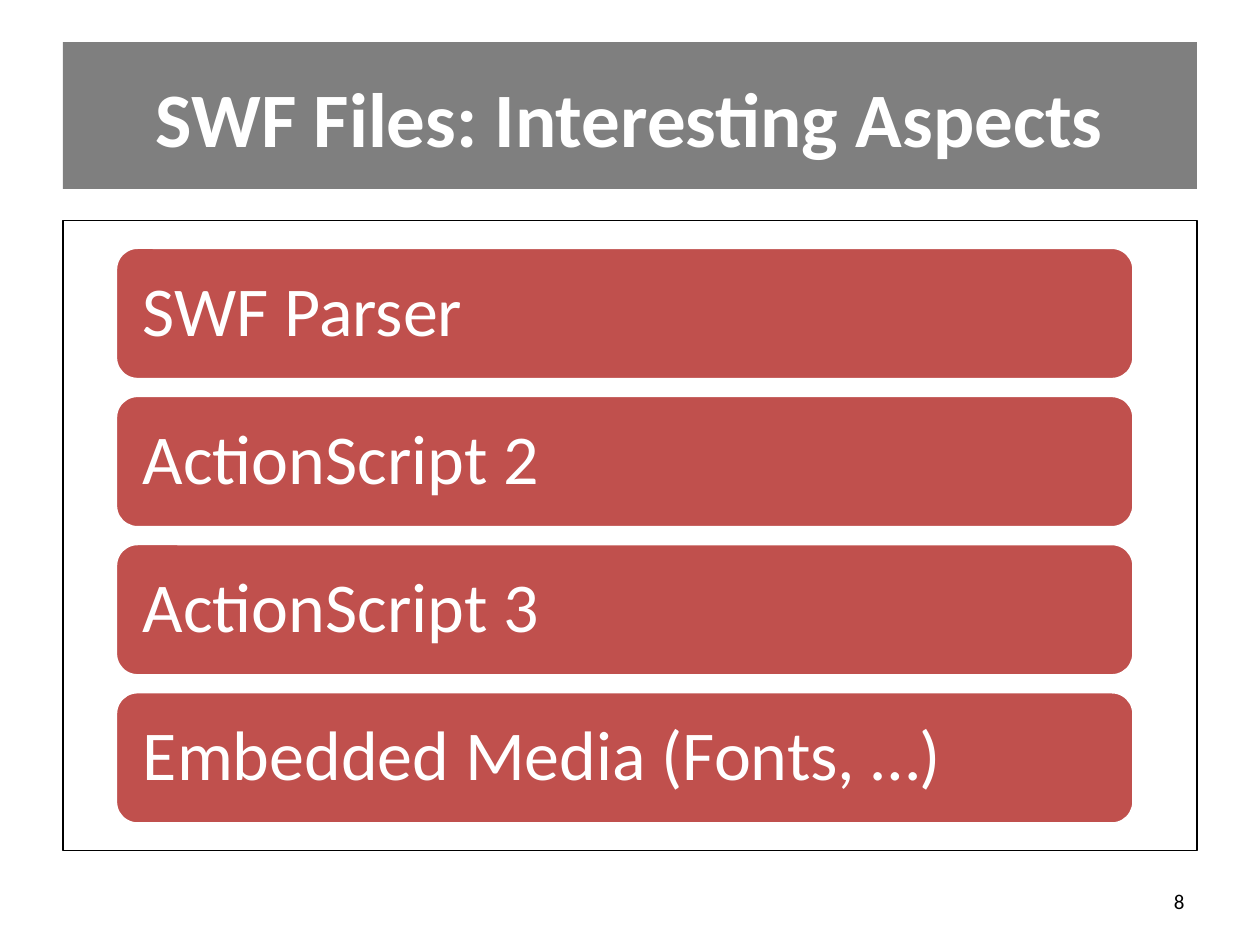
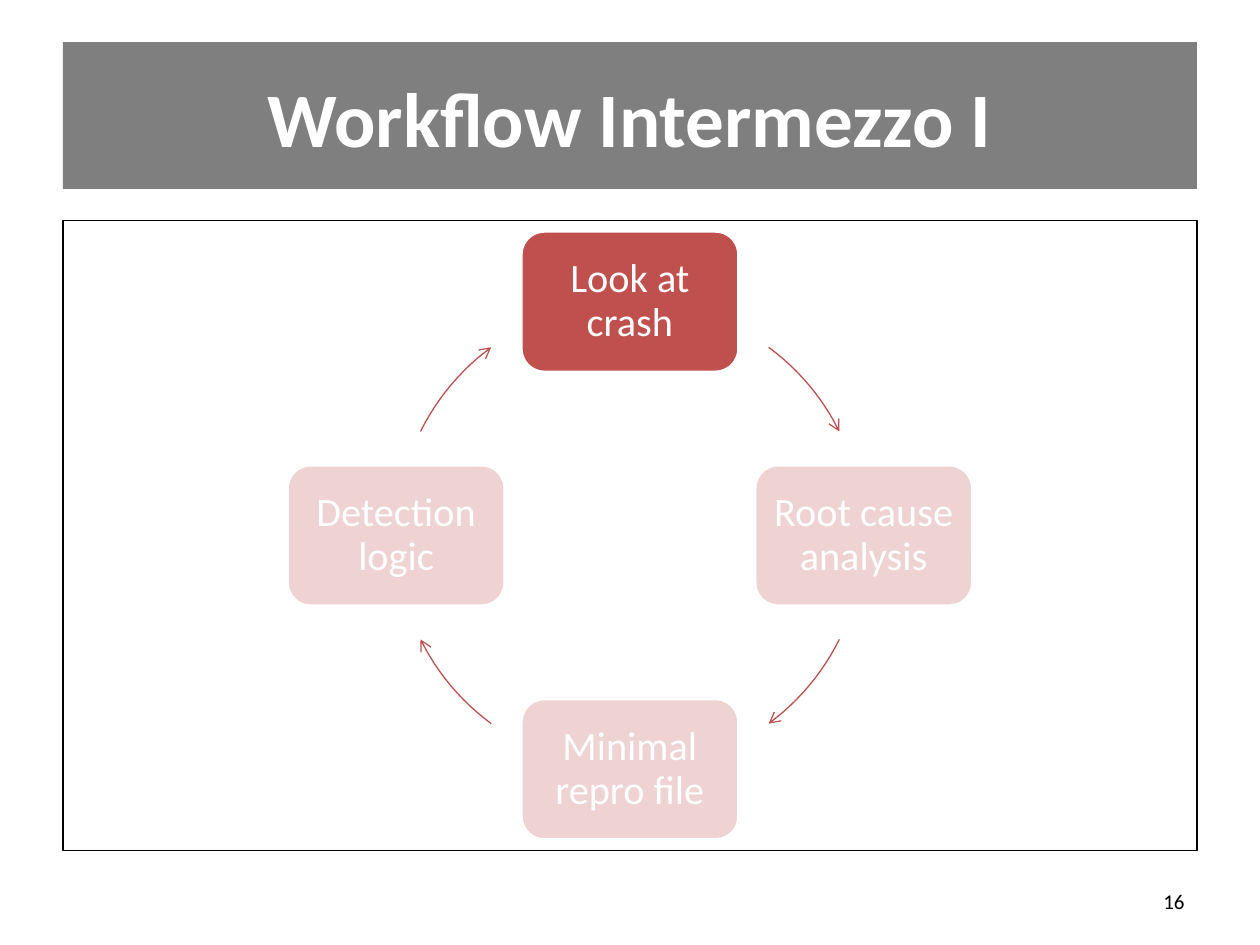
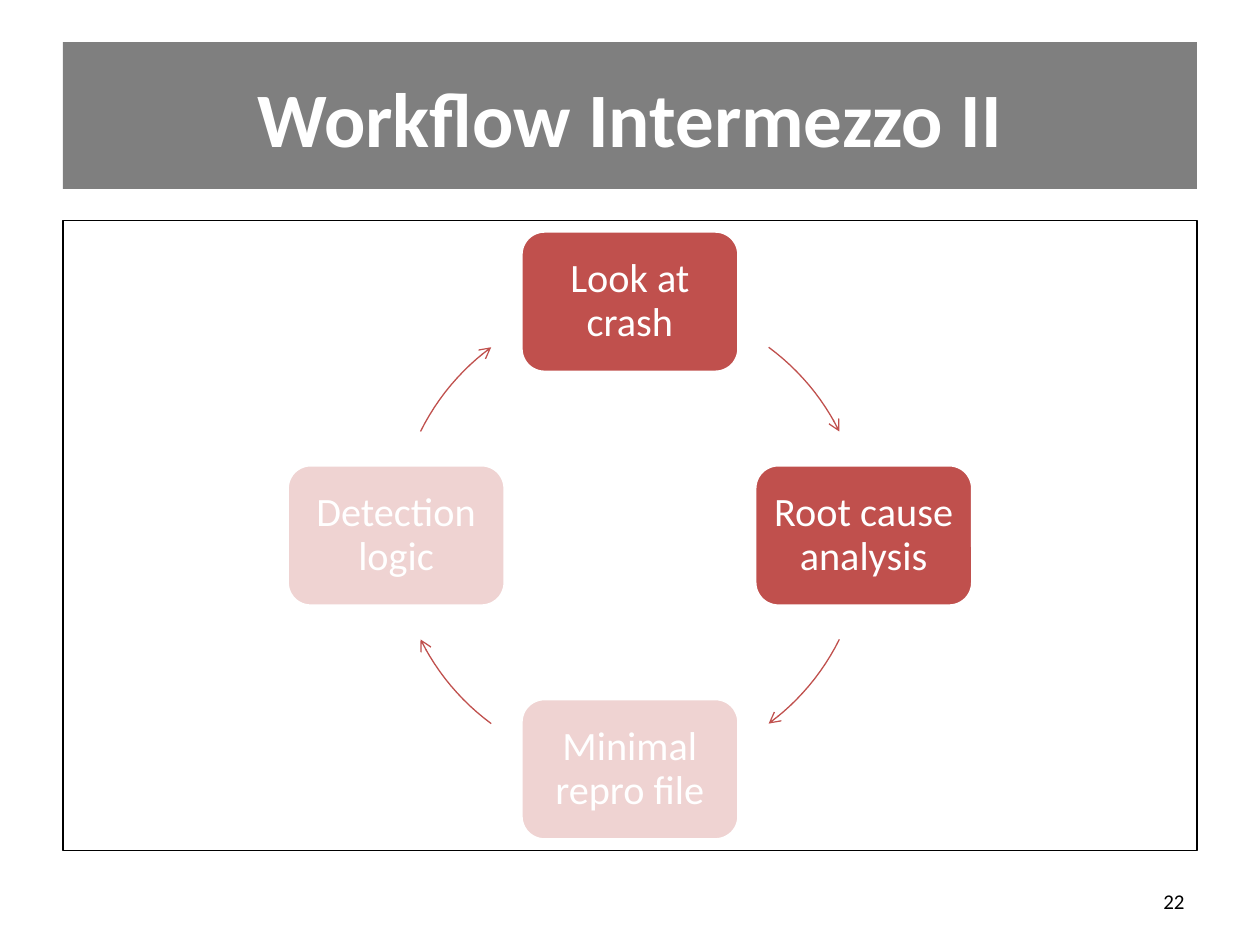
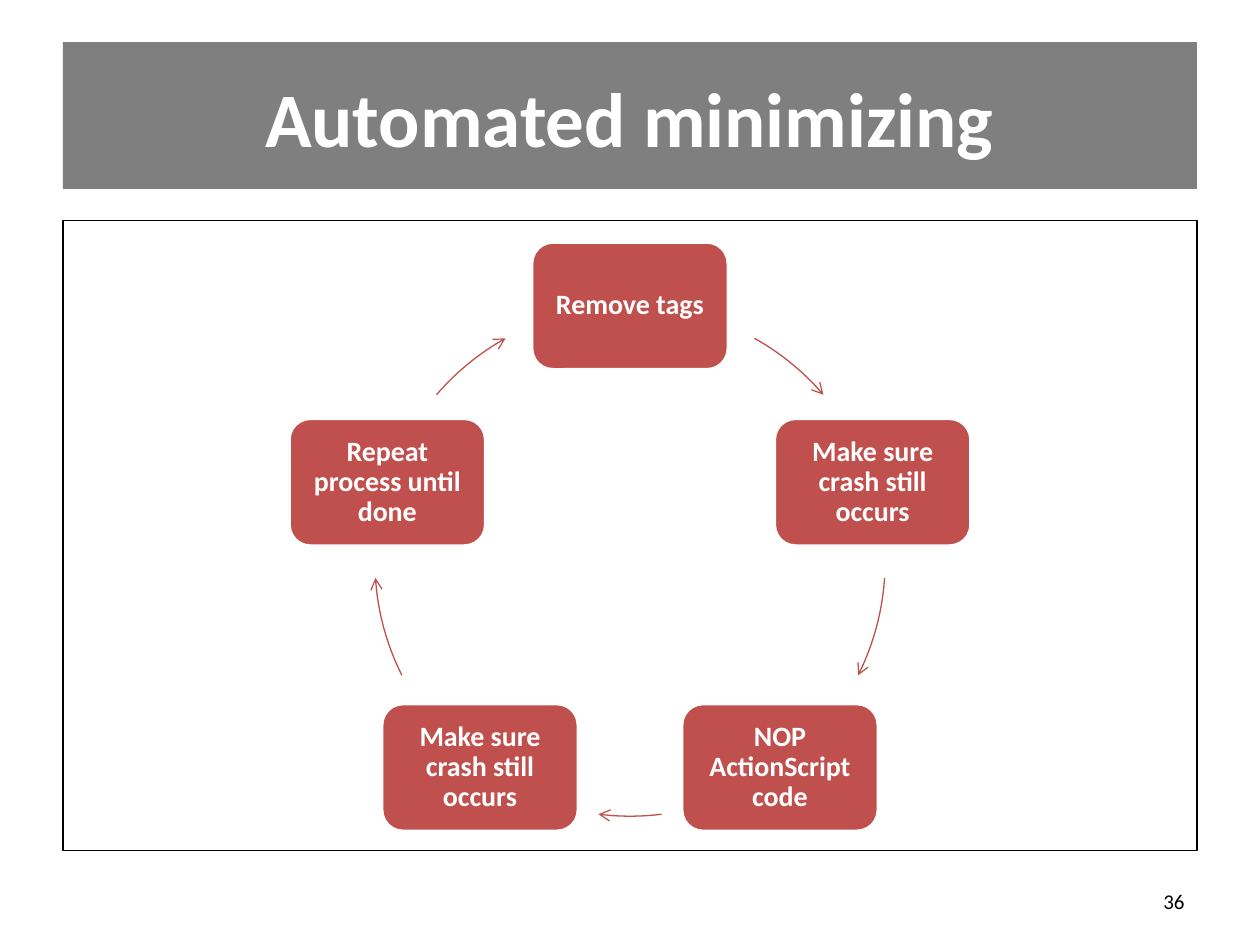
from math import cos, radians, sin

from pptx import Presentation
from pptx.dml.color import RGBColor
from pptx.enum.shapes import MSO_SHAPE
from pptx.enum.text import MSO_ANCHOR, PP_ALIGN
from pptx.oxml.ns import qn
from pptx.oxml.xmlchemy import OxmlElement
from pptx.util import Pt

RECT, ROUNDED = MSO_SHAPE.RECTANGLE, MSO_SHAPE.ROUNDED_RECTANGLE
LEFT, CENTER, RIGHT = PP_ALIGN.LEFT, PP_ALIGN.CENTER, PP_ALIGN.RIGHT
MIDDLE = MSO_ANCHOR.MIDDLE

BLACK = RGBColor(0x00, 0x00, 0x00)
WHITE = RGBColor(0xFF, 0xFF, 0xFF)
RED = RGBColor(0xC0, 0x50, 0x4D)
FONT = "Calibri"

SLIDE_W, SLIDE_H = 720, 540
MARGIN = 36
CONTENT_W = SLIDE_W - 2 * MARGIN

ASPECTS = ["SWF Parser", "ActionScript 2", "ActionScript 3", "Embedded Media (Fonts, …)"]
WORKFLOW = ["Look at crash", "Root cause analysis", "Minimal repro file", "Detection logic"]
MINIMIZING = ["Remove tags", "Make sure crash still occurs", "NOP ActionScript code",
              "Make sure crash still occurs", "Repeat process until done"]

# Start and end of each arrow, in degrees clockwise from the top
WORKFLOW_ARCS = [(36.4, 63.6), (116.4, 143.6), (216.4, 243.6), (296.4, 323.6)]
MINIMIZING_ARCS = [(29.2, 49.3), (93.8, 116.6), (172.9, 187.1), (243.4, 266.2), (310.7, 330.8)]


def set_text(tf, text, size, color, align, bold=False):
    tf.word_wrap = True
    tf.vertical_anchor = MIDDLE
    p = tf.paragraphs[0]
    p.text = text
    p.alignment = align
    p.font.name = FONT
    p.font.size = Pt(size)
    p.font.bold = bold
    p.font.color.rgb = color
    return p


def set_alpha(shape, percent):
    """Make the solid fill of the shape see-through."""
    alpha = OxmlElement("a:alpha")
    alpha.set("val", str(percent * 1000))
    shape.element.spPr.find(qn("a:solidFill")).find(qn("a:srgbClr")).append(alpha)


def add_box(s, kind, x, y, w, h, fill=None, line=None, line_w=1, alpha=100):
    box = s.shapes.add_shape(kind, Pt(x), Pt(y), Pt(w), Pt(h))
    box.shadow.inherit = False
    if fill is None:
        box.fill.background()
    else:
        box.fill.solid()
        box.fill.fore_color.rgb = fill
        if alpha < 100:
            set_alpha(box, alpha)
    if line is None:
        box.line.fill.background()
    else:
        box.line.color.rgb = line
        box.line.width = Pt(line_w)
    return box


def add_card(s, text, x, y, w, h, size, align=CENTER, bold=False, alpha=100):
    """Add a red rounded box with white text."""
    card = add_box(s, ROUNDED, x, y, w, h, RED, WHITE, 2, alpha)
    tf = card.text_frame
    tf.margin_left = tf.margin_right = tf.margin_top = tf.margin_bottom = Pt(0.3 * size)
    set_text(tf, text, size, WHITE, align, bold).line_spacing = 0.9


def on_circle(center_y, radius, angle):
    a = radians(angle)
    return SLIDE_W / 2 + radius * sin(a), center_y - radius * cos(a)


def frame_by_circle(arc, center_y, radius):
    """Widen the arc's frame to its whole circle, leaving the line in place."""
    left, top, size = Pt(SLIDE_W / 2 - radius), Pt(center_y - radius), Pt(2 * radius)
    dx, dy = arc.left - left, arc.top - top
    for path in arc.element.spPr.iter(qn("a:path")):
        path.set("w", str(size))
        path.set("h", str(size))
        for pt in path.iter(qn("a:pt")):
            pt.set("x", str(int(pt.get("x")) + dx))
            pt.set("y", str(int(pt.get("y")) + dy))
    arc.left, arc.top, arc.width, arc.height = left, top, size, size


def add_arc_arrow(s, center_y, radius, start, end, steps=12):
    points = []
    for i in range(steps + 1):
        x, y = on_circle(center_y, radius, start + (end - start) * i / steps)
        points.append((Pt(x), Pt(y)))
    builder = s.shapes.build_freeform(*points[0])
    builder.add_line_segments(points[1:], close=False)
    arc = builder.convert_to_shape()
    frame_by_circle(arc, center_y, radius)
    arc.shadow.inherit = False
    arc.fill.background()
    arc.line.color.rgb = RED
    arc.line.width = Pt(0.75)
    tail = OxmlElement("a:tailEnd")
    tail.set("type", "arrow")
    arc.element.spPr.find(qn("a:ln")).append(tail)


def add_cycle(s, labels, arcs, center_y, radius, w, h, size, bold=False, active=None):
    """Lay cards round a circle; those after the first `active` ones are faded."""
    active = len(labels) if active is None else active
    for i, (label, (start, end)) in enumerate(zip(labels, arcs)):
        x, y = on_circle(center_y, radius, 360 * i / len(labels))
        add_card(s, label, x - w / 2, y - h / 2, w, h, size, bold=bold,
                 alpha=100 if i < active else 25)
        add_arc_arrow(s, center_y, radius, start, end)


def add_bars(s, labels):
    for i, label in enumerate(labels):
        add_card(s, label, 66, 141.3 + 84.65 * i, 582, 75.6, 40, align=LEFT)


def prepare_layout(prs):
    """Strip the title-only layout to its title and put that in place."""
    layout = prs.slide_layouts[5]
    for ph in list(layout.placeholders):
        if ph.placeholder_format.idx:
            ph.element.getparent().remove(ph.element)
    title = layout.placeholders[0]
    title.left, title.top, title.width, title.height = Pt(MARGIN), Pt(21.6), Pt(CONTENT_W), Pt(90)
    return layout


def add_shared_shapes(s, layout):
    """Draw band and frame, then move them to the layout for all slides."""
    band = add_box(s, RECT, MARGIN, 24, CONTENT_W, 84, fill=BLACK, alpha=50)
    frame = add_box(s, RECT, MARGIN, 126, CONTENT_W, 360, line=BLACK)
    for shape in (band, frame):
        layout.shapes.element.append(shape.element)


def add_slide(prs, layout, title, number):
    s = prs.slides.add_slide(layout)
    if len(prs.slides) == 1:
        add_shared_shapes(s, layout)
    set_text(s.shapes.title.text_frame, title, 44, WHITE, CENTER, bold=True)
    box = s.shapes.add_textbox(Pt(516), Pt(500.5), Pt(168), Pt(28.75))
    set_text(box.text_frame, str(number), 12, BLACK, RIGHT)
    return s


def main():
    prs = Presentation()
    prs.slide_width, prs.slide_height = Pt(SLIDE_W), Pt(SLIDE_H)
    layout = prepare_layout(prs)

    s = add_slide(prs, layout, "SWF Files: Interesting Aspects", 8)
    add_bars(s, ASPECTS)

    for title, number, active in [("Workflow Intermezzo I", 16, 1),
                                  ("Workflow Intermezzo II", 22, 2)]:
        s = add_slide(prs, layout, title, number)
        add_cycle(s, WORKFLOW, WORKFLOW_ARCS, 306, 133.6, 124.6, 80.8, 23, active=active)

    s = add_slide(prs, layout, "Automated minimizing", 36)
    add_cycle(s, MINIMIZING, MINIMIZING_ARCS, 320.6, 145.8, 112.4, 73, 16, bold=True)

    prs.save("out.pptx")


if __name__ == "__main__":
    main()
